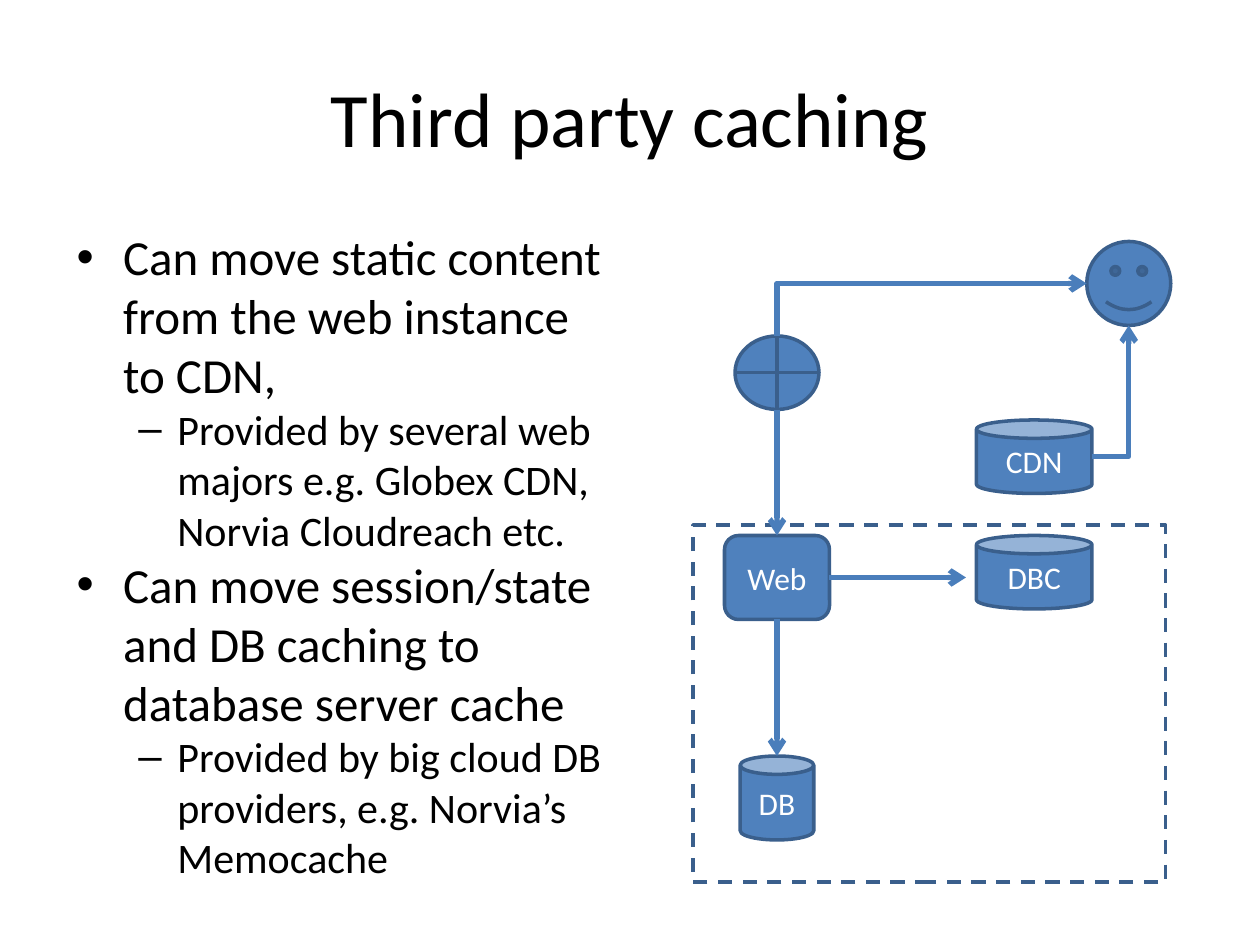
from dataclasses import dataclass

from lxml.etree import SubElement
from pptx import Presentation
from pptx.dml.color import RGBColor
from pptx.enum.dml import MSO_LINE
from pptx.enum.shapes import MSO_CONNECTOR, MSO_SHAPE
from pptx.enum.text import MSO_ANCHOR, PP_ALIGN
from pptx.oxml.ns import qn
from pptx.util import Inches, Pt


@dataclass(frozen=True)
class Theme:
    font: str = "Calibri"
    text: str = "000000"
    label: str = "FFFFFF"
    fill: str = "4F81BD"
    outline: str = "3A5F8C"
    arrow: str = "4A7EBB"
    title_size: int = 44
    body_sizes: tuple = (28, 24)
    label_size: int = 18
    outline_width: int = 2
    arrow_width: int = 3


THEME = Theme()
CELL = Inches(1) / 12  # the slide is a grid of 120 columns by 90 rows

TITLE = "Third party caching"
TITLE_BOX = (6, 3.6, 108, 15)
BODY_BOX = (6, 21, 53, 59.4)
BULLETS = [
    (0, "Can move static content from the web instance to CDN,"),
    (1, "Provided by several web majors e.g. Globex CDN, Norvia Cloudreach etc."),
    (0, "Can move session/state and DB caching to database server cache"),
    (1, "Provided by big cloud DB providers, e.g. Norvia’s Memocache"),
]
# level: (bullet, left margin, first-line indent) in inches
LEVELS = [("•", 0.38, -0.37), ("–", 0.81, -0.31)]

# shape, label, (column, row, columns, rows)
NODES = [
    (MSO_SHAPE.ROUNDED_RECTANGLE, "Web", (69, 51, 10, 8)),
    (MSO_SHAPE.CAN, "DB", (70.5, 72, 7, 8)),
    (MSO_SHAPE.FLOWCHART_OR, "", (70, 32, 8, 7)),
    (MSO_SHAPE.SMILEY_FACE, "", (103.5, 23, 8, 8)),
    (MSO_SHAPE.CAN, "CDN", (93, 40, 11, 7)),
    (MSO_SHAPE.CAN, "DBC", (93, 51, 11, 7)),
]
CLOUD_BOX = (66, 50, 45, 34)

# start, end, end carrying the arrowhead; elbows run across, then up or down
STRAIGHT_ARROWS = [
    ((74, 59), (74, 72), "tailEnd"),
    ((74, 39), (74, 51), "tailEnd"),
    ((79, 55), (92, 55), "tailEnd"),
]
ELBOW_ARROWS = [
    ((103.5, 27), (74, 32), "headEnd"),
    ((104, 43.5), (107.5, 31), "tailEnd"),
]


def grid(values):
    return [round(v * CELL) for v in values]


def style_font(font, size, color):
    font.name = THEME.font
    font.size = Pt(size)
    font.color.rgb = RGBColor.from_string(color)


def style_line(line, color, width):
    line.color.rgb = RGBColor.from_string(color)
    line.width = Pt(width)


def add_text(s, box, anchor):
    tf = s.shapes.add_textbox(*grid(box)).text_frame
    tf.word_wrap = True
    tf.vertical_anchor = anchor
    return tf


def add_bullet(p, level):
    char, margin, indent = LEVELS[level]
    p.level = level
    pPr = p._p.get_or_add_pPr()
    pPr.set("marL", str(Inches(margin)))
    pPr.set("indent", str(Inches(indent)))
    SubElement(pPr, qn("a:buFont"), typeface="Arial")
    SubElement(pPr, qn("a:buChar"), char=char)


def add_body(s):
    tf = add_text(s, BODY_BOX, MSO_ANCHOR.TOP)
    for i, (level, text) in enumerate(BULLETS):
        p = tf.add_paragraph() if i else tf.paragraphs[0]
        p.text = text
        add_bullet(p, level)
        style_font(p.runs[0].font, THEME.body_sizes[level], THEME.text)


def add_title(s):
    p = add_text(s, TITLE_BOX, MSO_ANCHOR.MIDDLE).paragraphs[0]
    p.text = TITLE
    p.alignment = PP_ALIGN.CENTER
    style_font(p.runs[0].font, THEME.title_size, THEME.text)


def add_outlined(s, kind, box):
    sp = s.shapes.add_shape(kind, *grid(box))
    sp.shadow.inherit = False
    style_line(sp.line, THEME.outline, THEME.outline_width)
    return sp


def add_node(s, kind, label, box):
    sp = add_outlined(s, kind, box)
    sp.fill.solid()
    sp.fill.fore_color.rgb = RGBColor.from_string(THEME.fill)
    if label:
        tf = sp.text_frame
        tf.text = label
        tf.vertical_anchor = MSO_ANCHOR.MIDDLE
        p = tf.paragraphs[0]
        p.alignment = PP_ALIGN.CENTER
        style_font(p.runs[0].font, THEME.label_size, THEME.label)


def add_cloud(s):
    sp = add_outlined(s, MSO_SHAPE.RECTANGLE, CLOUD_BOX)
    sp.fill.background()
    sp.line.dash_style = MSO_LINE.DASH


def add_arrow(s, kind, start, end, tip):
    arrow = s.shapes.add_connector(kind, *grid(start + end))
    style_line(arrow.line, THEME.arrow, THEME.arrow_width)
    spPr = arrow._element.spPr
    if kind == MSO_CONNECTOR.ELBOW:
        spPr.find(qn("a:prstGeom")).set("prst", "bentConnector2")
    SubElement(spPr.find(qn("a:ln")), qn(f"a:{tip}"), type="arrow")
    SubElement(spPr, qn("a:effectLst"))


def main():
    prs = Presentation()
    prs.slide_width, prs.slide_height = Inches(10), Inches(7.5)
    s = prs.slides.add_slide(prs.slide_layouts[6])
    add_title(s)
    add_body(s)
    for node in NODES:
        add_node(s, *node)
    add_cloud(s)
    for arrow in STRAIGHT_ARROWS:
        add_arrow(s, MSO_CONNECTOR.STRAIGHT, *arrow)
    for arrow in ELBOW_ARROWS:
        add_arrow(s, MSO_CONNECTOR.ELBOW, *arrow)
    prs.save("out.pptx")


if __name__ == "__main__":
    main()
